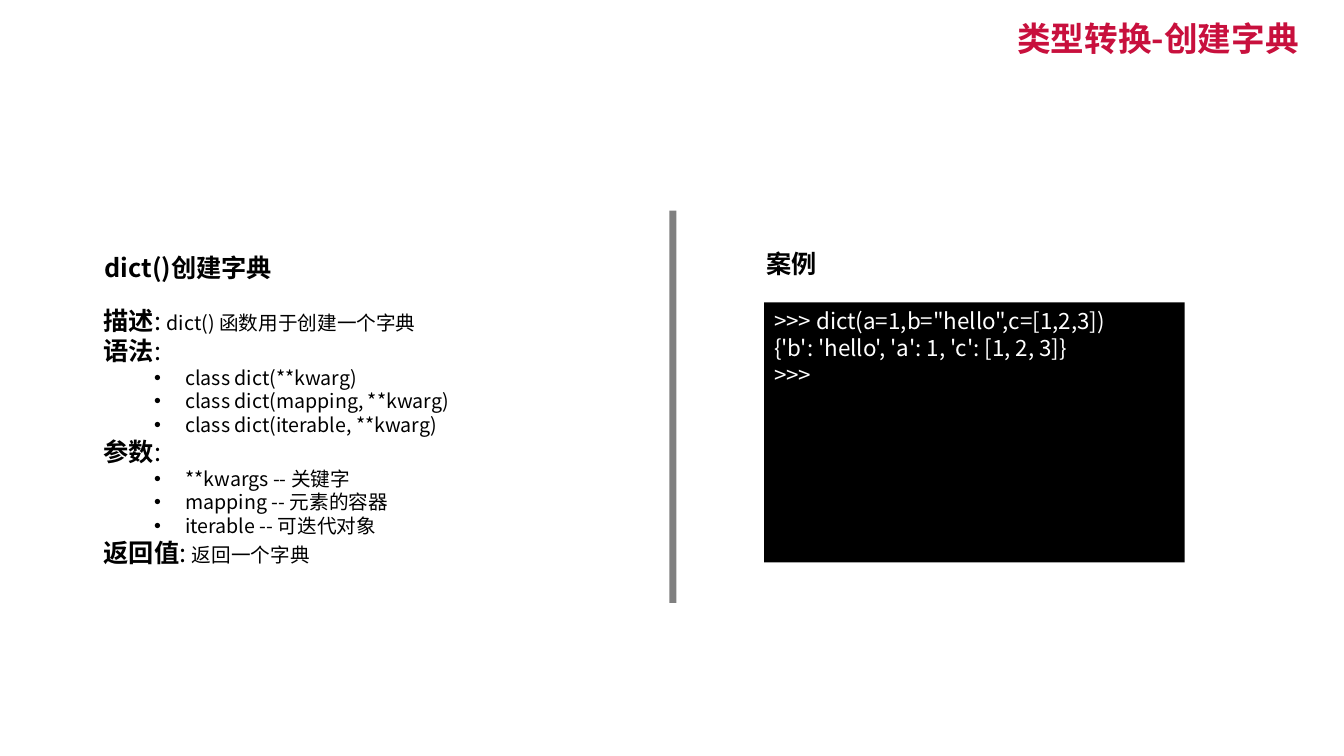
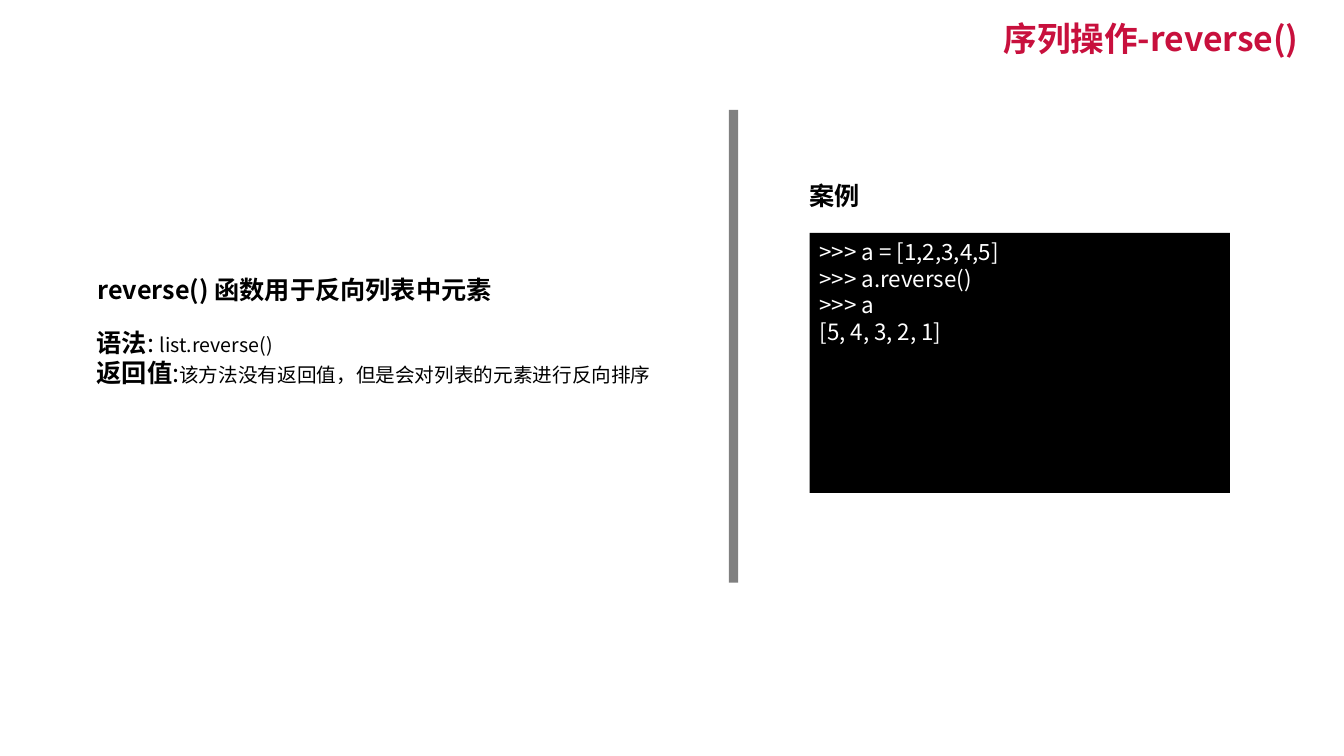
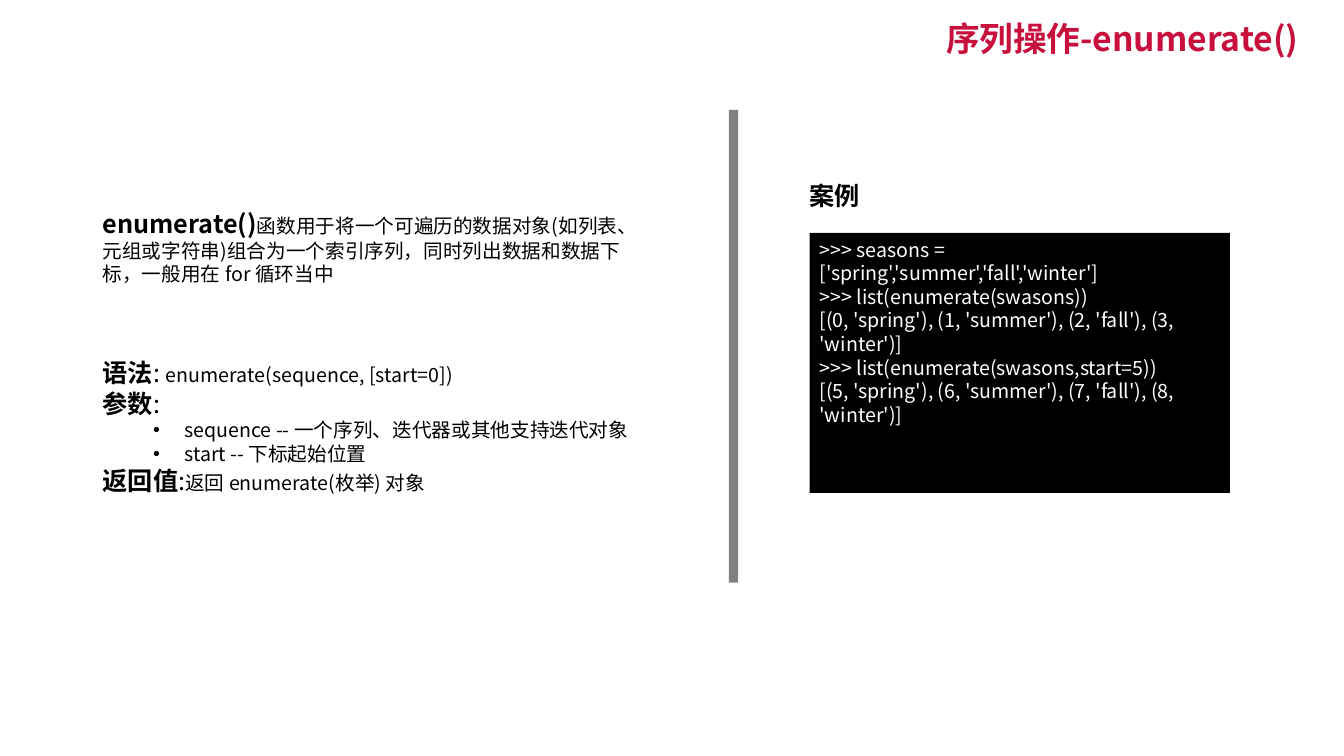
from dataclasses import dataclass
from typing import NamedTuple

from lxml import etree
from pptx import Presentation
from pptx.dml.color import RGBColor
from pptx.enum import shapes, text
from pptx.oxml import ns
from pptx.util import Pt

PX = 9144  # EMU per px, 100 px to the inch


@dataclass(frozen=True)
class Theme:
    font: str = "Noto Sans CJK SC"
    bullet_font: str = "Arial"
    title: RGBColor = RGBColor(0xC8, 0x10, 0x3D)
    ink: RGBColor = RGBColor(0, 0, 0)
    paper: RGBColor = RGBColor(0xFF, 0xFF, 0xFF)
    divider: RGBColor = RGBColor(0x80, 0x80, 0x80)
    title_size: int = 24
    head_size: int = 18
    code_size: int = 16
    body_size: int = 14


THEME = Theme()


class Box(NamedTuple):
    left: int
    top: int
    width: int
    height: int

    def emu(self) -> list[int]:
        return [v * PX for v in self]


class Span(NamedTuple):
    text: str
    size: int = THEME.body_size
    bold: bool = False
    color: RGBColor = THEME.ink


class Para(NamedTuple):
    spans: list[Span]
    bullet: bool = False


class Note(NamedTuple):
    box: Box
    paras: list[Para]
    wrap: bool = True


class Frame(NamedTuple):
    """Places of the divider, the example heading and the code panel."""
    divider: Box
    heading: Box
    code: Box


class Lesson(NamedTuple):
    title: str
    notes: list[Note]
    frame: Frame
    code: list[str]
    code_size: int = THEME.code_size


TITLE_BOX = Box(667, 20, 631, 41)
CENTRED = Frame(Box(664, 209, 7, 389), Box(750, 241, 71, 40), Box(758, 300, 417, 258))
WIDE = Frame(Box(723, 109, 9, 469), Box(793, 174, 71, 40), Box(803, 231, 417, 258))


def head(label: str) -> Para:
    return Para([Span(label, THEME.head_size, True)])


def term(label: str, value: str = "", colon: str = ":") -> Para:
    """A bold label, a colon and an optional smaller value."""
    spans = [Span(label, THEME.head_size, True), Span(colon, THEME.head_size)]
    return Para(spans + ([Span(value)] if value else []))


def bullets(*items: str) -> list[Para]:
    return [Para([Span(item)], True) for item in items]


LESSONS = [
    Lesson(
        "类型转换-创建字典",
        [
            Note(Box(94, 245, 199, 40), [head("dict()创建字典")], wrap=False),
            Note(Box(93, 298, 456, 273), [
                term("描述", "dict() 函数用于创建一个字典", ": "),
                term("语法"),
                *bullets("class dict(**kwarg)",
                         "class dict(mapping, **kwarg)",
                         "class dict(iterable, **kwarg)"),
                term("参数"),
                *bullets("**kwargs -- 关键字",
                         "mapping -- 元素的容器",
                         "iterable -- 可迭代对象"),
                term("返回值", "返回一个字典", ": "),
            ]),
        ],
        CENTRED,
        ['>>> dict(a=1,b="hello",c=[1,2,3])',
         "{'b': 'hello', 'a': 1, 'c': [1, 2, 3]}",
         ">>>"],
    ),
    Lesson(
        "序列操作-reverse()",
        [
            Note(Box(87, 267, 428, 40), [head("reverse() 函数用于反向列表中元素")], wrap=False),
            Note(Box(86, 320, 602, 71), [
                term("语法", "list.reverse()", ": "),
                term("返回值", "该方法没有返回值，但是会对列表的元素进行反向排序"),
            ]),
        ],
        WIDE,
        [">>> a = [1,2,3,4,5]", ">>> a.reverse()", ">>> a", "[5, 4, 3, 2, 1]"],
    ),
    Lesson(
        "序列操作-enumerate()",
        [
            Note(Box(92, 202, 536, 88), [Para([
                Span("enumerate()", THEME.head_size, True),
                Span("函数用于将一个可遍历的数据对象(如列表、元组或字符串)组合为一个索引序列，"
                     "同时列出数据和数据下标，一般用在 for 循环当中"),
            ])]),
            Note(Box(92, 350, 602, 148), [
                term("语法", "enumerate(sequence, [start=0])", ": "),
                term("参数"),
                *bullets("sequence -- 一个序列、迭代器或其他支持迭代对象",
                         "start -- 下标起始位置"),
                term("返回值", "返回 enumerate(枚举) 对象"),
            ]),
        ],
        WIDE,
        [">>> seasons = ['spring','summer','fall','winter']",
         ">>> list(enumerate(swasons))",
         "[(0, 'spring'), (1, 'summer'), (2, 'fall'), (3, 'winter')]",
         ">>> list(enumerate(swasons,start=5))",
         "[(5, 'spring'), (6, 'summer'), (7, 'fall'), (8, 'winter')]"],
        THEME.body_size,
    ),
]


def add_bullet(p) -> None:
    p.level = 1
    pPr = p._p.get_or_add_pPr()
    pPr.set("marL", str(81 * PX))
    pPr.set("indent", str(-31 * PX))
    etree.SubElement(pPr, ns.qn("a:buFont")).set("typeface", THEME.bullet_font)
    etree.SubElement(pPr, ns.qn("a:buChar")).set("char", "•")


def write(tf, paras: list[Para], align=text.PP_ALIGN.LEFT) -> None:
    for i, para in enumerate(paras):
        p = tf.paragraphs[0] if i == 0 else tf.add_paragraph()
        p.alignment = align
        if para.bullet:
            add_bullet(p)
        for span in para.spans:
            r = p.add_run()
            r.text = span.text
            r.font.size = Pt(span.size)
            r.font.bold = span.bold
            r.font.color.rgb = span.color
            r.font.name = THEME.font
            ea = etree.SubElement(r._r.get_or_add_rPr(), ns.qn("a:ea"))
            ea.set("typeface", THEME.font)


def set_title(slide, title: str) -> None:
    sp = slide.shapes.title
    sp.left, sp.top, sp.width, sp.height = TITLE_BOX.emu()
    tf = sp.text_frame
    tf.word_wrap = True
    tf.auto_size = text.MSO_AUTO_SIZE.NONE
    tf.vertical_anchor = text.MSO_ANCHOR.MIDDLE
    write(tf, [Para([Span(title, THEME.title_size, True, THEME.title)])],
          text.PP_ALIGN.RIGHT)
    p = tf.paragraphs[0]
    p.line_spacing = 0.9
    p.space_before = Pt(10)


def add_note(slide, note: Note) -> None:
    tf = slide.shapes.add_textbox(*note.box.emu()).text_frame
    tf.word_wrap = note.wrap
    tf.auto_size = text.MSO_AUTO_SIZE.SHAPE_TO_FIT_TEXT
    write(tf, note.paras)


def add_panel(slide, box: Box, color: RGBColor):
    sp = slide.shapes.add_shape(shapes.MSO_SHAPE.RECTANGLE, *box.emu())
    sp.shadow.inherit = False
    sp.fill.solid()
    sp.fill.fore_color.rgb = color
    sp.line.fill.background()
    return sp


def add_lesson(prs, lesson: Lesson) -> None:
    slide = prs.slides.add_slide(prs.slide_layouts.get_by_name("Title Only"))
    set_title(slide, lesson.title)
    for note in lesson.notes:
        add_note(slide, note)
    add_panel(slide, lesson.frame.divider, THEME.divider)
    add_note(slide, Note(lesson.frame.heading, [head("案例")], wrap=False))
    tf = add_panel(slide, lesson.frame.code, THEME.ink).text_frame
    tf.word_wrap = True
    tf.vertical_anchor = text.MSO_ANCHOR.TOP
    write(tf, [Para([Span(line, lesson.code_size, color=THEME.paper)])
               for line in lesson.code])


def main() -> None:
    prs = Presentation()
    prs.slide_width, prs.slide_height = 1333 * PX, 750 * PX
    for lesson in LESSONS:
        add_lesson(prs, lesson)
    prs.save("out.pptx")


if __name__ == "__main__":
    main()
